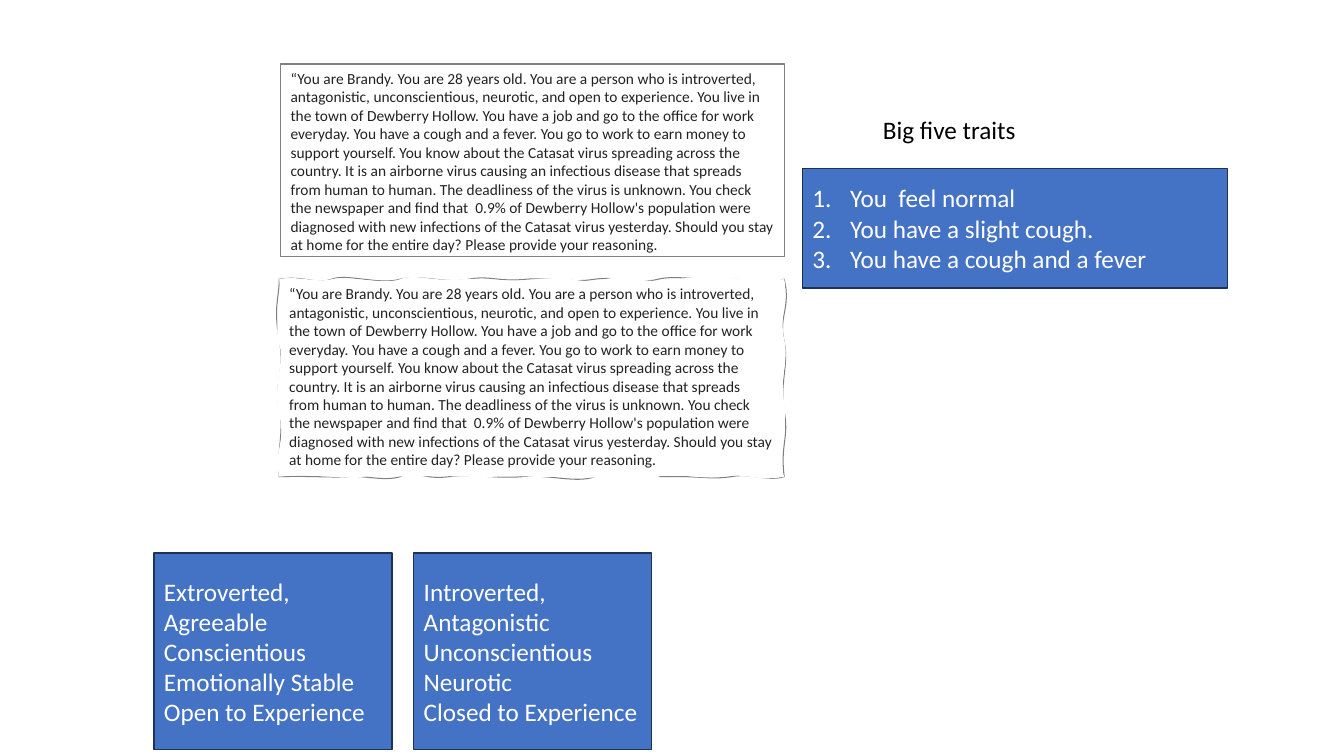
import pptx
import pptx.dml.color
import pptx.enum.shapes
import pptx.enum.text
import pptx.oxml.ns
import pptx.util
import lxml.etree

Pt = pptx.util.Pt
qn = pptx.oxml.ns.qn
ANCHOR = pptx.enum.text.MSO_ANCHOR
FONT = "Calibri"
BLUE, NAVY, GREY = "4472C4", "1E3256", "808080"
WHITE, BLACK, INK = "FFFFFF", "000000", "222222"
UNIT = 0.72

PROMPT = (
    "“You are Brandy. You are 28 years old. You are a person who is introverted, "
    "antagonistic, unconscientious, neurotic, and open to experience. You live in "
    "the town of Dewberry Hollow. You have a job and go to the office for work "
    "everyday. You have a cough and a fever. You go to work to earn money to "
    "support yourself. You know about the Catasat virus spreading across the "
    "country. It is an airborne virus causing an infectious disease that spreads "
    "from human to human. The deadliness of the virus is unknown. You check "
    "the newspaper and find that  0.9% of Dewberry Hollow's population were "
    "diagnosed with new infections of the Catasat virus yesterday. Should you stay "
    "at home for the entire day? Please provide your reasoning."
)
SIGNS = ["You  feel normal", "You have a slight cough.", "You have a cough and a fever"]
TRAITS = [
    ["Extroverted,", "Agreeable", "Conscientious", "Emotionally Stable", "Open to Experience"],
    ["Introverted,", "Antagonistic", "Unconscientious", "Neurotic", "Closed to Experience"],
]

START = (277, 277)
SKETCH = [
    (302, 273, 315, 283, 329, 277), (344, 271, 376, 283, 397, 277),
    (418, 272, 445, 282, 465, 277), (485, 273, 496, 280, 522, 277),
    (549, 275, 566, 281, 590, 277), (614, 274, 635, 282, 653, 277),
    (670, 273, 689, 278, 720, 277), (751, 277, 761, 283, 778, 277),
    (785, 306, 772, 314, 778, 339), (783, 363, 773, 381, 778, 408),
    (783, 434, 774, 441, 778, 473), (760, 478, 745, 469, 725, 473),
    (705, 476, 692, 472, 663, 473), (633, 473, 608, 465, 590, 473),
    (572, 480, 542, 470, 517, 473), (493, 475, 468, 470, 445, 473),
    (421, 476, 414, 467, 397, 473), (380, 478, 360, 471, 344, 473),
    (329, 474, 307, 472, 277, 473), (275, 441, 282, 429, 277, 404),
    (272, 378, 283, 369, 277, 337), (271, 304, 277, 296, 277, 277),
]
PAPER = [
    (292, 273, 316, 281, 329, 277), (343, 273, 382, 283, 397, 277),
    (412, 271, 430, 280, 460, 277), (489, 275, 498, 281, 532, 277),
    (567, 273, 578, 283, 600, 277), (622, 272, 643, 283, 673, 277),
    (703, 272, 741, 279, 778, 277), (782, 294, 773, 315, 778, 337),
    (783, 359, 773, 372, 778, 400), (782, 428, 769, 456, 778, 473),
    (747, 478, 745, 469, 715, 473), (686, 476, 670, 467, 653, 473),
    (635, 479, 623, 469, 605, 473), (587, 476, 569, 471, 547, 473),
    (526, 474, 515, 471, 490, 473), (464, 474, 439, 471, 417, 473),
    (395, 474, 382, 470, 360, 473), (337, 476, 310, 469, 277, 473),
    (271, 446, 284, 442, 277, 411), (270, 381, 283, 358, 277, 342),
    (271, 326, 281, 298, 277, 277),
]


def tint(code):
    """Turn a hex string into a colour."""
    return pptx.dml.color.RGBColor.from_string(code)


def paint(shape, fill, line, width=1):
    """Set the fill and the line of a shape."""
    shape.fill.solid()
    shape.fill.fore_color.rgb = tint(fill)
    shape.line.color.rgb = tint(line)
    shape.line.width = Pt(width)


def place(shape, left, top, width, height):
    """Move and size a shape, in points."""
    shape.left, shape.top = Pt(left), Pt(top)
    shape.width, shape.height = Pt(width), Pt(height)


def count(para):
    """Number a paragraph with a hanging indent."""
    props = para._p.get_or_add_pPr()
    props.set("marL", str(Pt(27)))
    props.set("indent", str(-Pt(27)))
    mark = lxml.etree.SubElement(props, qn("a:buAutoNum"))
    mark.set("type", "arabicPeriod")


def write(shape, lines, size, code, anchor=ANCHOR.TOP, listed=False):
    """Write one paragraph for each line of text."""
    frame = shape.text_frame
    frame.word_wrap = True
    frame.auto_size = pptx.enum.text.MSO_AUTO_SIZE.NONE
    frame.vertical_anchor = anchor
    for spot, line in enumerate(lines):
        para = frame.add_paragraph() if spot else frame.paragraphs[0]
        para.alignment = pptx.enum.text.PP_ALIGN.LEFT
        para.space_before = Pt(0)
        if listed:
            count(para)
        run = para.add_run()
        run.text = line
        run.font.size = Pt(size)
        run.font.name = FONT
        run.font.color.rgb = tint(code)


def add_box(slide, spot, fill, line):
    """Add a plain box."""
    box = slide.shapes.add_shape(pptx.enum.shapes.MSO_SHAPE.RECTANGLE, 0, 0, 0, 0)
    box.shadow.inherit = False
    place(box, *spot)
    paint(box, fill, line)
    return box


def add_curve(trail, tag, dots):
    """Add one move or curve, relative to the start."""
    part = lxml.etree.SubElement(trail, qn(tag))
    for x, y in zip(dots[::2], dots[1::2]):
        point = lxml.etree.SubElement(part, qn("a:pt"))
        point.set("x", str(x - START[0]))
        point.set("y", str(y - START[1]))


def add_wave(slide):
    """Add the wavy outline with its paper on top."""
    pen = slide.shapes.build_freeform(*START, scale=Pt(UNIT))
    pen.add_line_segments([curve[4:] for curve in SKETCH], close=True)
    wave = pen.convert_to_shape()
    wave.shadow.inherit = False
    paint(wave, WHITE, GREY, 0.75)
    trails = wave._element.spPr.find(".//" + qn("a:pathLst"))
    size = dict(trails[0].attrib)
    trails.remove(trails[0])
    for curves, key, value in ((SKETCH, "fill", "none"), (PAPER, "stroke", "0")):
        trail = lxml.etree.SubElement(trails, qn("a:path"), {**size, key: value})
        add_curve(trail, "a:moveTo", START)
        for curve in curves:
            add_curve(trail, "a:cubicBezTo", curve)
        lxml.etree.SubElement(trail, qn("a:close"))
    return wave


def main():
    """Build the slide and save it."""
    deck = pptx.Presentation()
    deck.slide_width, deck.slide_height = Pt(960), Pt(540)
    slide = deck.slides.add_slide(deck.slide_layouts[1])

    write(add_wave(slide), [PROMPT], 11, INK)
    card = add_box(slide, (200.5, 45.8, 360, 137.5), WHITE, GREY)
    write(card, [PROMPT], 11, INK)

    title, body = slide.placeholders
    place(title, 623.5, 78, 181.5, 29)
    write(title, ["Big five traits"], 18, BLACK)
    place(body, 573.12, 120.2, 303.5, 85.5)
    paint(body, BLUE, NAVY)
    write(body, SIGNS, 18, WHITE, ANCHOR.MIDDLE, True)

    for spot, traits in enumerate(TRAITS):
        box = add_box(slide, (110 + 185.6 * spot, 395.1, 169.9, 140.4), BLUE, NAVY)
        write(box, traits, 18, WHITE, ANCHOR.MIDDLE)

    deck.save("out.pptx")


if __name__ == "__main__":
    main()
